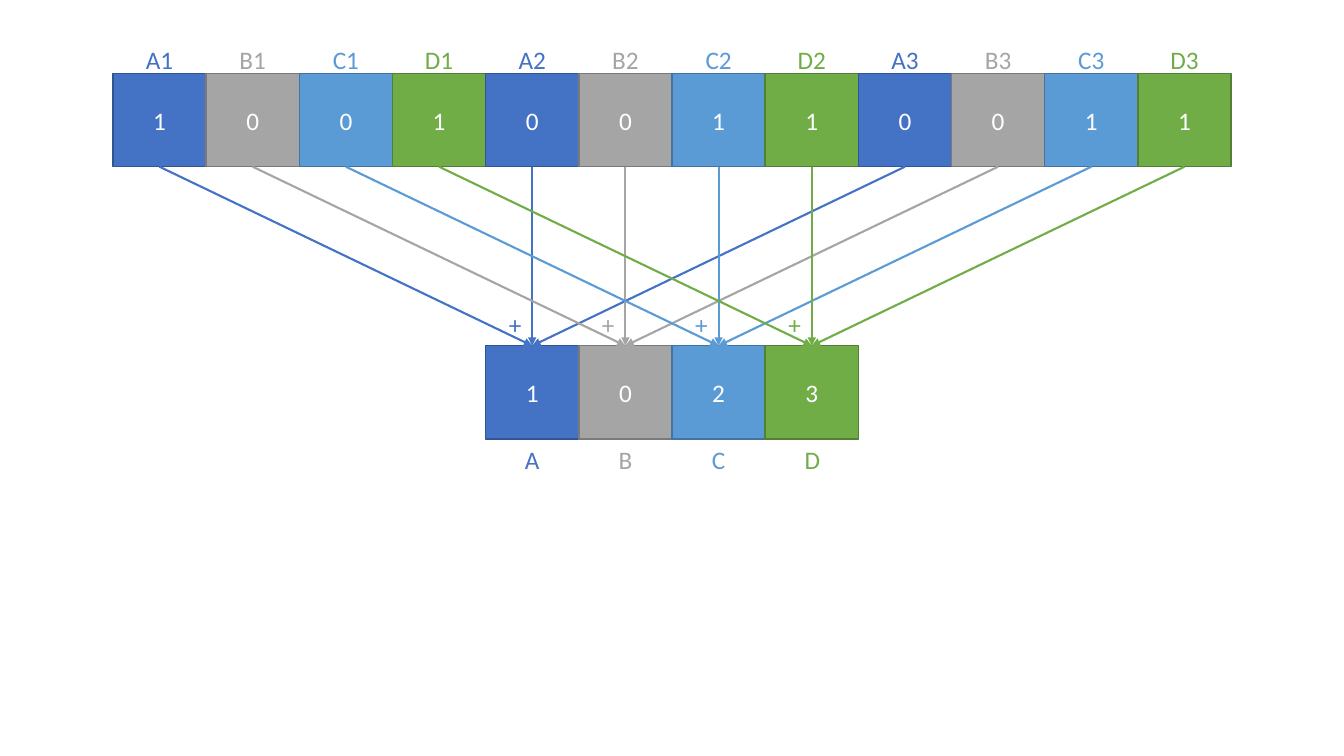
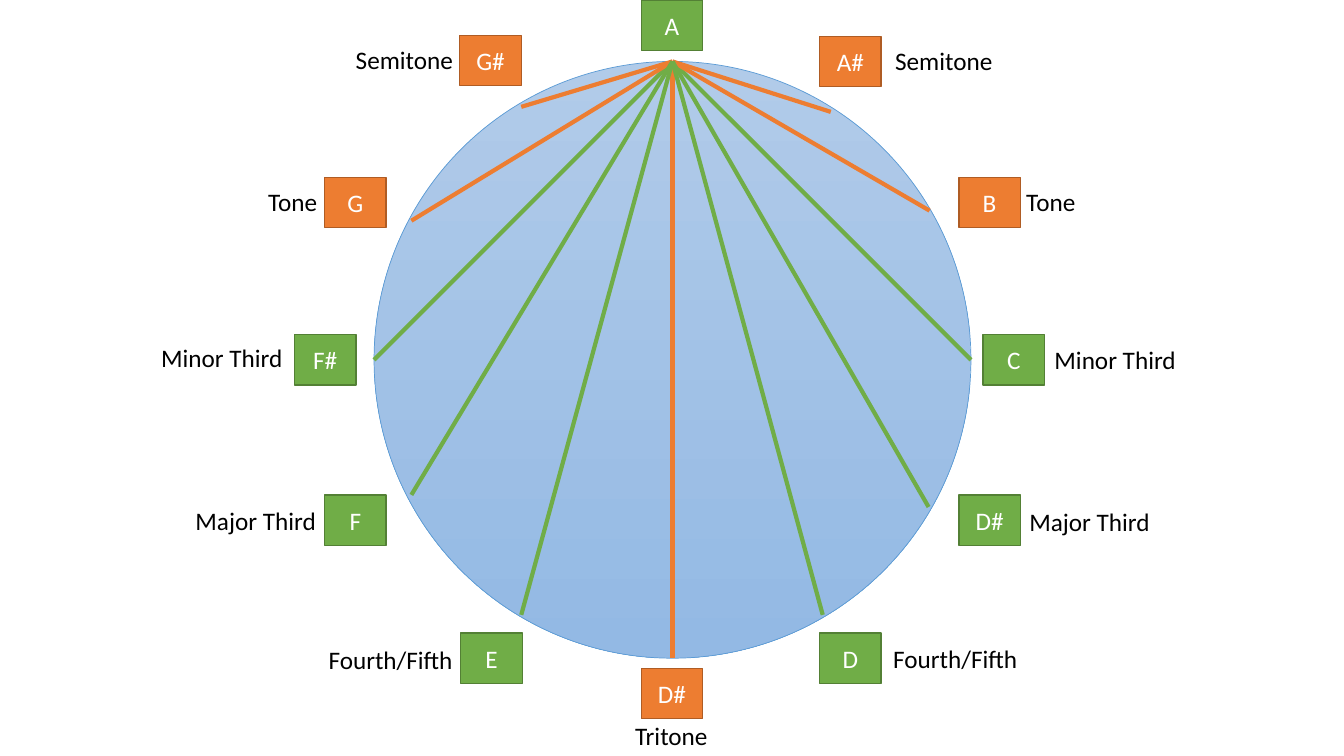
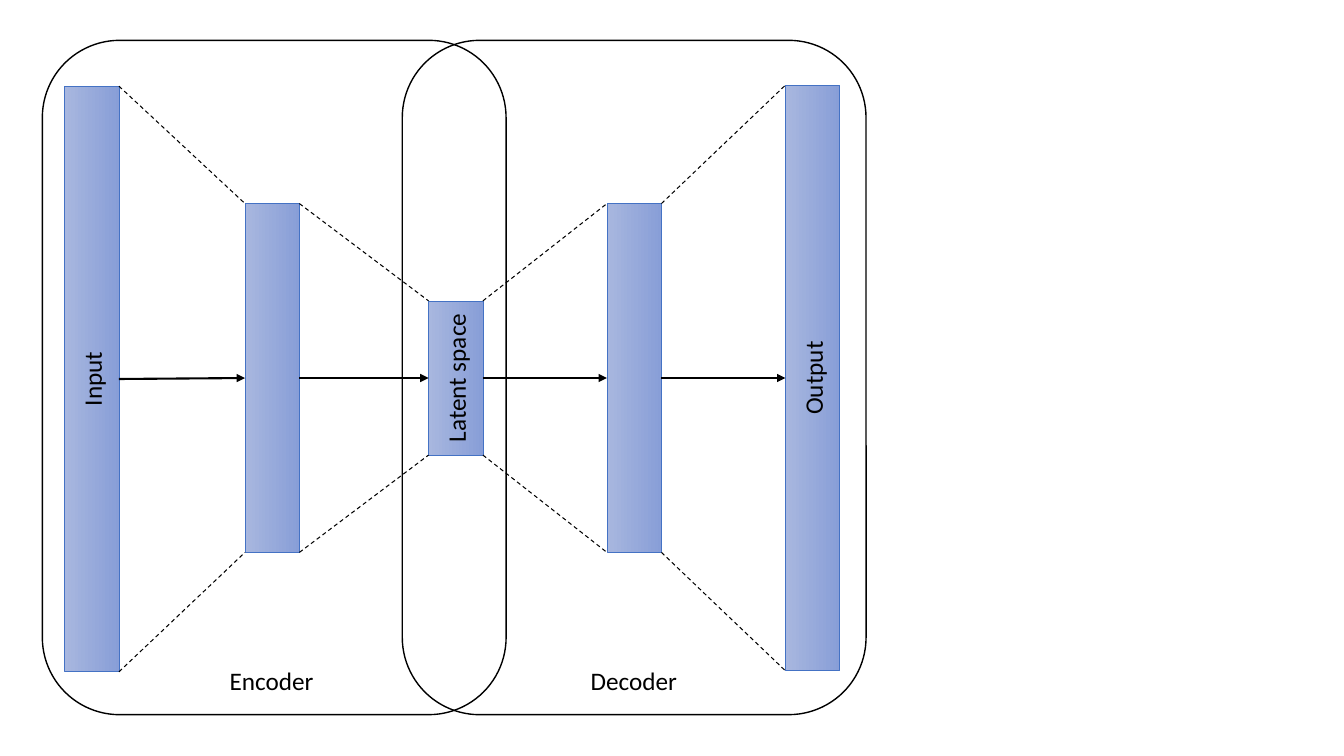
from dataclasses import dataclass
from typing import NamedTuple, Optional

import pptx
import pptx.dml.color
import pptx.enum.dml
import pptx.enum.shapes
import pptx.enum.text
import pptx.oxml.ns
import pptx.shapes.autoshape
import pptx.shapes.connector
import pptx.slide
import pptx.util
from lxml import etree

Inches = pptx.util.Inches
Pt = pptx.util.Pt
Shape = pptx.shapes.autoshape.Shape
Slide = pptx.slide.Slide
Point = tuple[float, float]
MSO = pptx.enum.shapes.MSO_SHAPE
ALIGN = pptx.enum.text.PP_ALIGN

# Shared style
FONT = "Calibri"
BLACK, WHITE = "000000", "FFFFFF"
BLUE, GREY, SKY, GREEN, ORANGE = "4472C4", "A5A5A5", "5B9BD5", "70AD47", "ED7D31"
OUTLINE = {BLUE: "325491", GREY: "7A7A7A", SKY: "43739E", GREEN: "538035", ORANGE: "AF5C24"}
LABEL_H = 0.4


class Join(NamedTuple):
    start: Shape
    start_site: int
    end: Shape
    end_site: int


class Note(NamedTuple):
    name: str
    color: str
    box: Point
    chord_end: Point
    interval: str
    label: Point
    label_w: float


@dataclass
class Bar:
    cx: float
    cy: float
    length: float
    text: str = ""
    thickness: float = 0.54

    @property
    def left(self) -> float:
        return self.cx - self.thickness / 2

    @property
    def right(self) -> float:
        return self.cx + self.thickness / 2

    @property
    def top(self) -> float:
        return self.cy - self.length / 2

    @property
    def bottom(self) -> float:
        return self.cy + self.length / 2


def rgb(color: str) -> pptx.dml.color.RGBColor:
    return pptx.dml.color.RGBColor.from_string(color)


def write(sp: Shape, text: str, *, color: str = BLACK, size: float = 18,
          align: ALIGN = ALIGN.CENTER) -> None:
    p = sp.text_frame.paragraphs[0]
    p.alignment = align
    r = p.add_run()
    r.text = text
    r.font.name, r.font.size = FONT, Pt(size)
    r.font.color.rgb = rgb(color)


def add_label(slide: Slide, text: str, x: float, y: float, w: float, color: str = BLACK,
              align: ALIGN = ALIGN.LEFT) -> None:
    sp = slide.shapes.add_textbox(Inches(x), Inches(y), Inches(w), Inches(LABEL_H))
    tf = sp.text_frame
    tf.word_wrap = False
    tf.auto_size = pptx.enum.text.MSO_AUTO_SIZE.SHAPE_TO_FIT_TEXT
    write(sp, text, color=color, align=align)


def add_box(slide: Slide, kind: MSO, x: float, y: float, w: float, h: float, *,
            line: str, line_w: float = 1, fill: Optional[str] = None,
            gradient: Optional[tuple[str, str]] = None) -> Shape:
    sp = slide.shapes.add_shape(kind, Inches(x), Inches(y), Inches(w), Inches(h))
    sp.shadow.inherit = False
    if gradient:
        sp.fill.gradient()
        sp.fill.gradient_angle = 270
        for stop, color in zip(sp.fill.gradient_stops, gradient):
            stop.color.rgb = rgb(color)
    elif fill:
        sp.fill.solid()
        sp.fill.fore_color.rgb = rgb(fill)
    else:
        sp.fill.background()
    sp.line.color.rgb = rgb(line)
    sp.line.width = Pt(line_w)
    sp.text_frame.vertical_anchor = pptx.enum.text.MSO_ANCHOR.MIDDLE
    return sp


def add_tile(slide: Slide, text: str, color: str, x: float, y: float, w: float, h: float) -> Shape:
    sp = add_box(slide, MSO.RECTANGLE, x, y, w, h, fill=color, line=OUTLINE[color])
    write(sp, text, color=WHITE)
    return sp


def add_line(slide: Slide, start: Point, end: Point, color: str, width: float, *,
             arrow: bool = False, dashed: bool = False,
             join: Optional[Join] = None) -> None:
    c = slide.shapes.add_connector(pptx.enum.shapes.MSO_CONNECTOR.STRAIGHT,
                                   *map(Inches, start + end))
    if join:
        c.begin_connect(join.start, join.start_site)
        c.end_connect(join.end, join.end_site)
        # Joining ignores rotation, so set the ends again
        c.begin_x, c.begin_y = map(Inches, start)
        c.end_x, c.end_y = map(Inches, end)
    c.line.color.rgb = rgb(color)
    c.line.width = Pt(width)
    if dashed:
        c.line.dash_style = pptx.enum.dml.MSO_LINE.DASH
    qn = pptx.oxml.ns.qn
    spPr = c._element.spPr
    if arrow:
        etree.SubElement(spPr.find(qn("a:ln")), qn("a:tailEnd"), type="triangle")
    etree.SubElement(spPr, qn("a:effectLst"))


def build_counters(slide: Slide) -> None:
    """Bits of three groups are summed into four counters."""
    left, right, bit_y, sum_y = 1.12, 12.21, 0.73, 3.43
    bits, sums = "100100110011", "1023"
    side = (right - left) / len(bits)
    groups = list(zip("ABCD", (BLUE, GREY, SKY, GREEN)))
    n = len(groups)

    def centre(col: int) -> float:
        return left + (col + 0.5) * side

    def centred_label(text: str, cx: float, y: float, color: str) -> None:
        w = 0.48 if len(text) > 1 else 0.34
        add_label(slide, text, cx - w / 2, y, w, color, ALIGN.CENTER)

    bit_tiles = [add_tile(slide, bit, groups[i % n][1], left + i * side, bit_y, side, side)
                 for i, bit in enumerate(bits)]
    sum_tiles = [add_tile(slide, total, groups[i][1], left + (n + i) * side, sum_y, side, side)
                 for i, total in enumerate(sums)]

    for i, (name, color) in enumerate(groups):
        cx = centre(n + i)
        for group in range(len(bits) // n):
            col = group * n + i
            add_line(slide, (centre(col), bit_y + side), (cx, sum_y), color, 1.5, arrow=True,
                     join=Join(bit_tiles[col], 2, sum_tiles[i], 0))
            centred_label(f"{name}{group + 1}", centre(col), 0.39, color)
        centred_label(name, cx, sum_y + side, color)
        centred_label("+", cx - 0.17, 3.02, color)


NOTES = [
    Note("C", GREEN, (9.75, 3.32), (9.63, 3.57), "Minor Third", (10.36, 3.37), 1.42),
    Note("F#", GREEN, (2.92, 3.32), (3.71, 3.57), "Minor Third", (1.5, 3.35), 1.42),
    Note("D#", ORANGE, (6.36, 6.63), (6.67, 6.53), "Tritone", (6.2, 7.1), 0.93),
    Note("A#", ORANGE, (8.13, 0.36), (8.24, 1.11), "Semitone", (8.78, 0.4), 1.18),
    Note("B", ORANGE, (9.51, 1.76), (9.22, 2.09), "Tone", (10.08, 1.8), 0.69),
    Note("G#", ORANGE, (4.56, 0.35), (5.17, 1.06), "Semitone", (3.43, 0.39), 1.18),
    Note("G", ORANGE, (3.22, 1.76), (4.08, 2.19), "Tone", (2.56, 1.8), 0.69),
    Note("F", GREEN, (3.22, 4.91), (4.08, 4.91), "Major Third", (1.84, 4.96), 1.41),
    Note("E", GREEN, (4.57, 6.28), (5.17, 6.1), "Fourth/Fifth", (3.16, 6.34), 1.45),
    Note("D#", GREEN, (9.51, 4.91), (9.21, 5.03), "Major Third", (10.11, 4.97), 1.41),
    Note("D", GREEN, (8.13, 6.28), (8.16, 6.1), "Fourth/Fifth", (8.76, 6.33), 1.45),
]


def build_intervals(slide: Slide) -> None:
    """Chords of a circle show the intervals from the note A."""
    root, tile_w, tile_h = (6.67, 0.61), 0.61, 0.5
    add_box(slide, MSO.OVAL, 3.71, 0.61, 5.92, 5.92, line=SKY, line_w=0.5,
            gradient=("B1CBE9", "93B9E4"))
    add_tile(slide, "A", GREEN, 6.36, 0, tile_w, tile_h)
    for note in NOTES:
        add_tile(slide, note.name, note.color, *note.box, tile_w, tile_h)
        add_line(slide, root, note.chord_end, note.color, 3)
        add_label(slide, note.interval, *note.label, note.label_w)


def build_autoencoder(slide: Slide) -> None:
    """Layers narrow to the latent space and widen again."""
    bars = [Bar(0.91, 3.76, 5.81, "Input"), Bar(2.7, 3.75, 3.46),
            Bar(4.52, 3.75, 1.53, "Latent space"), Bar(6.29, 3.75, 3.46),
            Bar(8.06, 3.75, 5.81, "Output")]

    # Layers, turned so that their text reads upwards
    layers = []
    for bar in bars:
        sp = add_box(slide, MSO.RECTANGLE, bar.cx - bar.length / 2, bar.cy - bar.thickness / 2,
                     bar.length, bar.thickness, line=BLUE, line_w=0.5,
                     gradient=("A8B7DF", "889ED7"))
        sp.rotation = 270
        if bar.text:
            write(sp, bar.text)
        layers.append(sp)

    # Frames of the two halves
    for name, x, label_x, label_w in (("Encoder", 0.42, 2.18, 1.04),
                                      ("Decoder", 3.99, 5.76, 1.07)):
        add_box(slide, MSO.ROUNDED_RECTANGLE, x, 0.4, 4.6, 6.69, line=BLACK)
        add_label(slide, name, label_x, 6.55, label_w)

    # Arrows and dashed outlines between neighbouring layers
    for i, (a, b) in enumerate(zip(bars, bars[1:])):
        add_line(slide, (a.right, a.cy), (b.left, b.cy), BLACK, 1.5, arrow=True,
                 join=Join(layers[i], 2, layers[i + 1], 0))
        add_line(slide, (a.right, a.top), (b.left, b.top), BLACK, 0.75, dashed=True)
        add_line(slide, (a.right, a.bottom), (b.left, b.bottom), BLACK, 0.75, dashed=True)


def main() -> None:
    prs = pptx.Presentation()
    prs.slide_width, prs.slide_height = Inches(13.33), Inches(7.5)
    blank = prs.slide_layouts[6]
    for build in (build_counters, build_intervals, build_autoencoder):
        build(prs.slides.add_slide(blank))
    prs.save("out.pptx")


if __name__ == "__main__":
    main()
